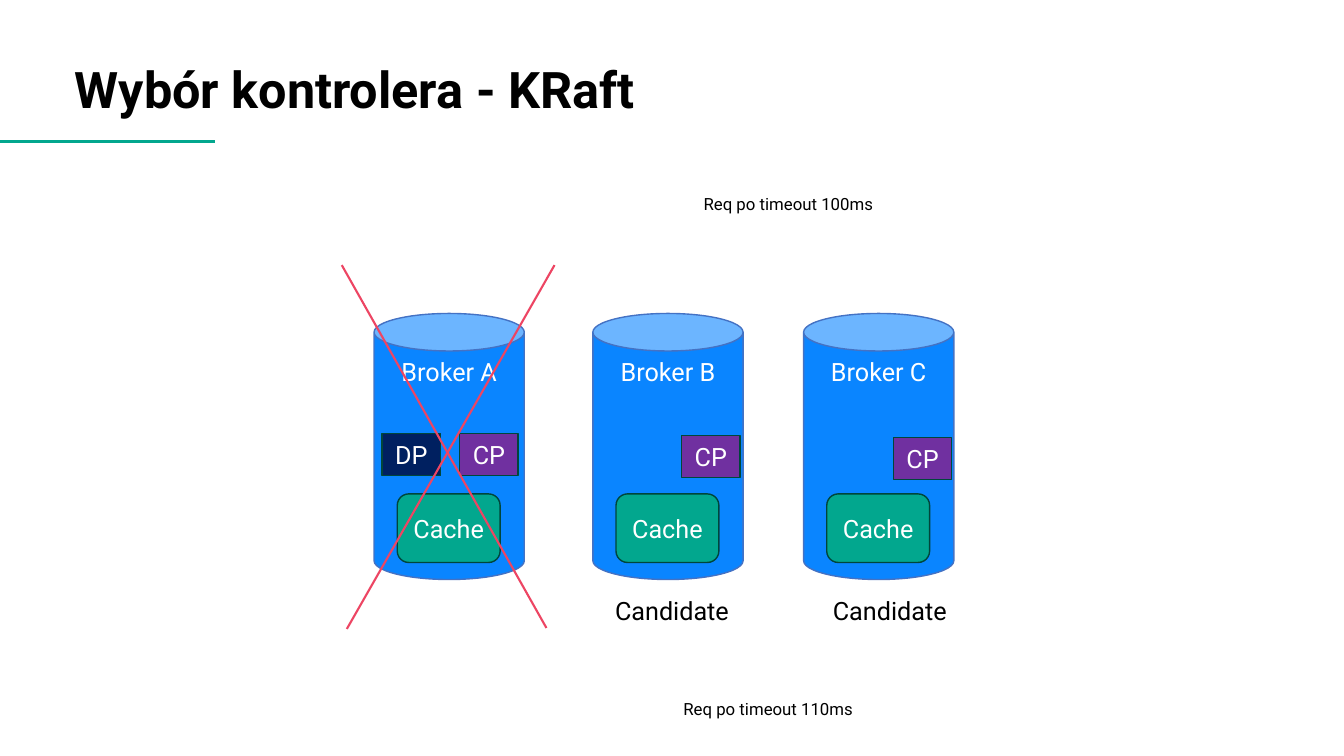
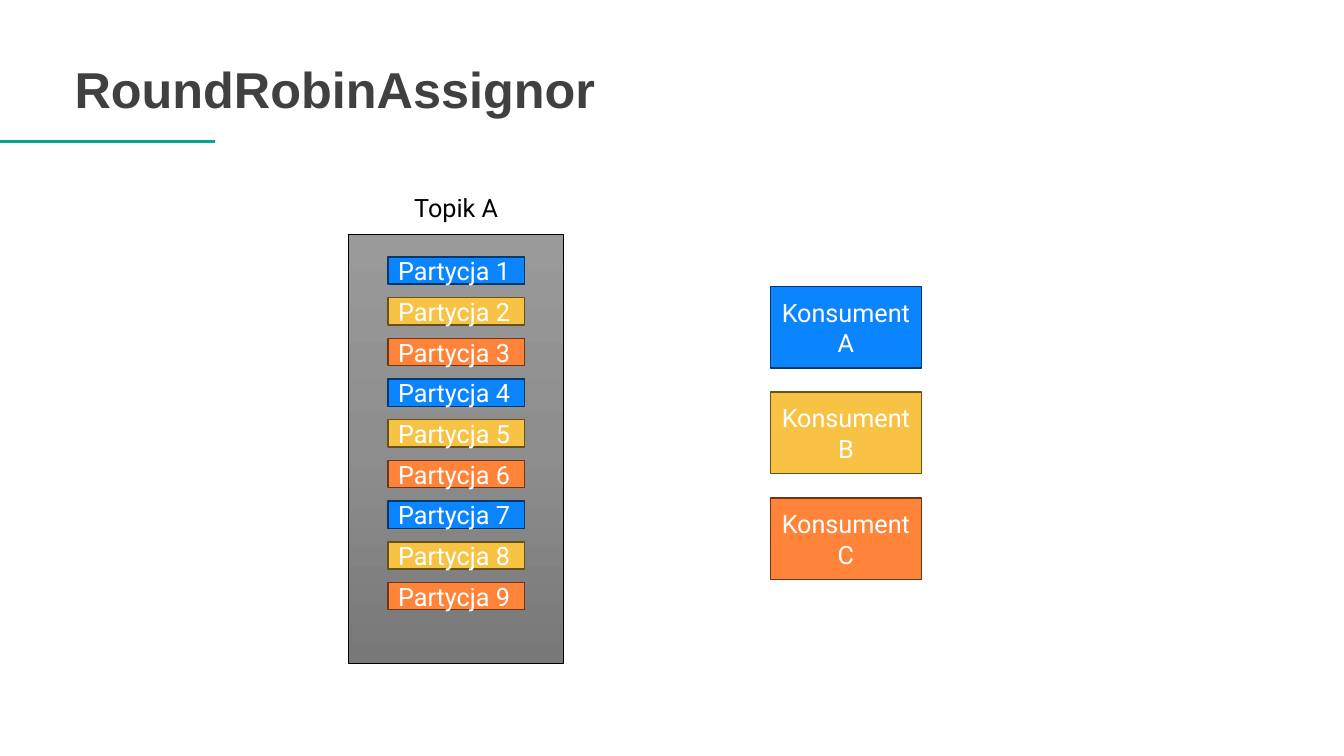
"""Build two slides on broker election and round-robin assignment."""
from copy import deepcopy

from lxml.etree import SubElement
from pptx import Presentation
from pptx.dml.color import RGBColor
from pptx.enum.shapes import MSO_CONNECTOR, MSO_SHAPE
from pptx.enum.text import MSO_ANCHOR, PP_ALIGN
from pptx.oxml.ns import qn
from pptx.util import Inches, Pt

hue = RGBColor.from_string
WHITE, BLACK, GREEN = "FFFFFF", "000000", "02A78E"
BLUE, NAVY, PURPLE, RED = "0A85FF", "002060", "7030A0", "ED4563"
EDGE, RIM = "00463B", "4472C4"
GROUPS = [("A", BLUE, "04386B"), ("B", "F8C344", "68521C"), ("C", "FF843A", "6B3718")]


def put(slide, kind, at, text="", fill=None, edge=None, width=1, size=18, ink=WHITE,
        face="Roboto", bold=False, align=PP_ALIGN.CENTER, anchor=MSO_ANCHOR.MIDDLE):
    """Add a shape, or a text box when kind is None, and style its text."""
    area = [Inches(v) for v in at]
    if kind is None:
        box = slide.shapes.add_textbox(*area)
        box.text_frame.margin_left = box.text_frame.margin_right = 0
    else:
        box = slide.shapes.add_shape(kind, *area)
        box.shadow.inherit = False
        box.line.color.rgb = hue(edge)
        box.line.width = Pt(width)
    if fill:
        box.fill.solid()
        box.fill.fore_color.rgb = hue(fill)
    if text:
        frame = box.text_frame
        frame.word_wrap = True
        frame.vertical_anchor = anchor
        frame.text = text
        frame.paragraphs[0].alignment = align
        font = frame.paragraphs[0].runs[0].font
        font.name, font.size, font.bold = face, Pt(size), bold
        font.color.rgb = hue(ink)
    return box


def draw(slide, start, end, color, width):
    """Add a straight line without a shadow."""
    ends = [Inches(v) for v in (*start, *end)]
    line = slide.shapes.add_connector(MSO_CONNECTOR.STRAIGHT, *ends)
    line.line.color.rgb = hue(color)
    line.line.width = Pt(width)
    SubElement(line._element.spPr, qn("a:effectLst"))


deck = Presentation()
deck.slide_width, deck.slide_height = Inches(13.33), Inches(7.5)

pages = []
for title, face, ink in [("Wybór kontrolera - KRaft", "Roboto", BLACK),
                         ("RoundRobinAssignor", "Arial", "404040")]:
    page = deck.slides.add_slide(deck.slide_layouts[6])
    draw(page, (2.13, 1.4), (0, 1.4), GREEN, 2)
    put(page, None, (0.74, 0, 11.84, 1.23), title, size=36, ink=ink, face=face,
        bold=True, align=PP_ALIGN.LEFT, anchor=MSO_ANCHOR.BOTTOM)
    pages.append(page)
vote, robin = pages

for name, left, chip, top in [("A", 3.71, 4.56, 4.3), ("B", 5.88, 6.76, 4.32),
                              ("C", 7.97, 8.86, 4.34)]:
    put(vote, MSO_SHAPE.CAN, (left, 3.11, 1.49, 2.64), f"Broker {name}", BLUE, RIM,
        anchor=MSO_ANCHOR.TOP)
    put(vote, MSO_SHAPE.RECTANGLE, (chip, top, 0.58, 0.42), "CP", PURPLE, EDGE)
    put(vote, MSO_SHAPE.ROUNDED_RECTANGLE, (left + 0.23, 4.9, 1.02, 0.68), "Cache",
        GREEN, EDGE)
put(vote, MSO_SHAPE.RECTANGLE, (3.79, 4.3, 0.58, 0.42), "DP", NAVY, EDGE)

for left in (6.06, 8.22):
    put(vote, None, (left, 5.86, 1.21, 0.4), "Candidate", ink=BLACK,
        anchor=MSO_ANCHOR.TOP)
for start, end in [((3.39, 2.63), (5.42, 6.23)), ((5.5, 2.63), (3.44, 6.24))]:
    draw(vote, start, end, RED, 1.5)
for left, top, time in [(6.92, 1.87, 100), (6.72, 6.88, 110)]:
    put(vote, None, (left, top, 1.8, 0.3), f"Req po timeout {time}ms", size=12,
        ink=BLACK, anchor=MSO_ANCHOR.TOP)

topic = put(robin, MSO_SHAPE.RECTANGLE, (3.46, 2.33, 2.13, 4.25), edge=BLACK, width=0.75)
topic.fill.gradient()
topic.fill.gradient_angle = 270
first = topic._element.xpath(".//a:gs")[0]
first.addnext(deepcopy(first))
shades = [(0, "9A9A9A"), (0.5, "8D8D8D"), (1, "787878")]
for stop, (place, shade) in zip(topic.fill.gradient_stops, shades):
    stop.position = place
    stop.color.rgb = hue(shade)
put(robin, None, (3.66, 1.86, 1.73, 0.4), "Topik A", ink=BLACK, anchor=MSO_ANCHOR.TOP)

for i in range(9):
    _, fill, edge = GROUPS[i % 3]
    put(robin, MSO_SHAPE.RECTANGLE, (3.85, 2.55 + 3.23 * i / 8, 1.35, 0.27),
        f"Partycja {i + 1}", fill, edge, align=PP_ALIGN.LEFT)
for i, (name, fill, edge) in enumerate(GROUPS):
    put(robin, MSO_SHAPE.RECTANGLE, (7.64, 2.84 + 1.05 * i, 1.5, 0.81),
        f"Konsument {name}", fill, edge)

deck.save("out.pptx")
